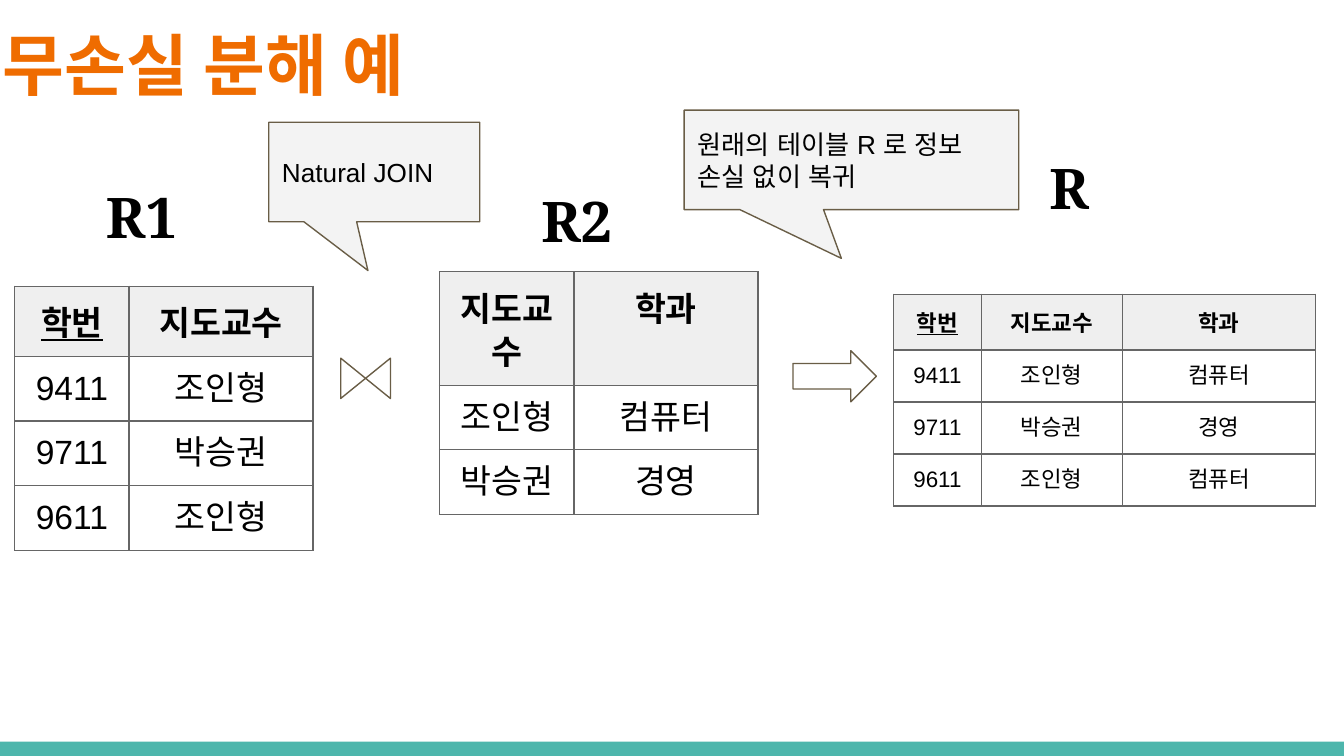
import pptx
import pptx.util
import pptx.dml.color
import pptx.enum.shapes
import pptx.enum.text
import pptx.oxml
import pptx.oxml.ns
from dataclasses import dataclass

Shape = pptx.enum.shapes.MSO_SHAPE
Align = pptx.enum.text.PP_ALIGN
Anchor = pptx.enum.text.MSO_ANCHOR
Fit = pptx.enum.text.MSO_AUTO_SIZE
WIDE = pptx.util.Inches(10)
HIGH = WIDE * 9 // 16
SPACE = pptx.oxml.ns.nsdecls("a")


@dataclass(frozen=True)
class Theme:
    teal: str = "4DB6AC"
    orange: str = "EF6C00"
    ink: str = "000000"
    white: str = "FFFFFF"
    pale: str = "F3F3F3"
    head: str = "EFEFEF"
    rule: str = "666666"
    brown: str = "695D46"
    sans: str = "Arial"
    narrow: str = "Arial Narrow"
    serif: str = "Noto Serif"
    title: int = 36
    label: int = 30
    large: int = 18
    note: int = 14
    small: int = 12
    line: float = 0.75


LOOK = Theme()


def rgb(code):
    return pptx.dml.color.RGBColor.from_string(code)


def across(share):
    return round(WIDE * share / 100)


def down(share):
    return round(HIGH * share / 100)


def place(x, y, w, h):
    return across(x), down(y), across(w), down(h)


def write(frame, text, size=LOOK.note, font=LOOK.sans, color=LOOK.ink, bold=False,
          under=False, align=Align.LEFT, space=1.0):
    para = frame.paragraphs[0]
    para.alignment = align
    para.line_spacing = space
    run = para.add_run()
    run.text = text
    face = run.font
    face.name, face.size = font, pptx.util.Pt(size)
    face.bold, face.underline = bold, under
    face.color.rgb = rgb(color)
    for kind in ("ea", "cs"):
        run._r.get_or_add_rPr().append(pptx.oxml.parse_xml(
            f'<a:{kind} {SPACE} typeface="{font}"/>'))


def setup(item, anchor=Anchor.TOP):
    item.vertical_anchor = anchor
    pad = pptx.util.Inches(0.1)
    item.margin_left = item.margin_right = pad
    item.margin_top = item.margin_bottom = pad


def wrap(frame, anchor=Anchor.TOP):
    frame.word_wrap = True
    frame.auto_size = Fit.NONE
    setup(frame, anchor)


def title(slide, text, box):
    item = slide.shapes.title
    item.left, item.top, item.width, item.height = place(*box)
    wrap(item.text_frame)
    write(item.text_frame, text, size=LOOK.title, font=LOOK.narrow,
          color=LOOK.orange, bold=True)


def label(slide, text, x, y, w):
    item = slide.shapes.add_textbox(*place(x, y, w, 13.16))
    wrap(item.text_frame)
    write(item.text_frame, text, size=LOOK.label, font=LOOK.serif, bold=True)


def shape(slide, kind, box, fill=LOOK.white, line=LOOK.brown, turn=0):
    item = slide.shapes.add_shape(kind, *place(*box))
    item.shadow.inherit = False
    item.rotation = turn
    item.fill.solid()
    item.fill.fore_color.rgb = rgb(fill)
    if line:
        item.line.color.rgb = rgb(line)
        item.line.width = pptx.util.Pt(LOOK.line)
    else:
        item.line.fill.background()
    return item


def callout(slide, text, x, y, w):
    item = shape(slide, Shape.ROUNDED_RECTANGULAR_CALLOUT, (x, y, w, 13.16), LOOK.pale)
    for spot, value in enumerate((-0.03, 0.99, 0)):
        item.adjustments[spot] = value
    wrap(item.text_frame, Anchor.MIDDLE)
    write(item.text_frame, text)


def border(cell):
    props = cell._tc.get_or_add_tcPr()
    width = pptx.util.Pt(LOOK.line)
    for side in ("lnL", "lnR", "lnT", "lnB"):
        props.append(pptx.oxml.parse_xml(
            f'<a:{side} {SPACE} w="{width}"><a:solidFill>'
            f'<a:srgbClr val="{LOOK.rule}"/></a:solidFill></a:{side}>'))


def table(slide, data, x, y, cols, rows, size, key=None):
    box = place(x, y, sum(cols), sum(rows))
    grid = slide.shapes.add_table(len(data), len(cols), *box).table
    grid.first_row = grid.horz_banding = False
    for col, share in zip(grid.columns, cols):
        col.width = across(share)
    for row, share in zip(grid.rows, rows):
        row.height = down(share)
    for r, words in enumerate(data):
        top = r == 0
        for c, text in enumerate(words):
            cell = grid.cell(r, c)
            setup(cell)
            border(cell)
            cell.fill.solid()
            cell.fill.fore_color.rgb = rgb(LOOK.head if top else LOOK.white)
            write(cell.text_frame, text, size=size, bold=top,
                  under=top and text == key, align=Align.CENTER,
                  space=1.15 if top else 1.0)


def main():
    deck = pptx.Presentation()
    deck.slide_width, deck.slide_height = WIDE, HIGH
    slide = deck.slides.add_slide(deck.slide_layouts[5])
    shape(slide, Shape.RECTANGLE, (0, 98.1, 100, 1.9), LOOK.teal, None)
    title(slide, "무손실 분해 예", (-0.8, 1.24, 50, 13.16))

    for text, x, y, w in (("R", 77.1, 18.49, 7.1), ("R1", 6.9, 22.4, 9.1),
                          ("R2", 39.3, 22.93, 9.1)):
        label(slide, text, x, y, w)

    shape(slide, Shape.FLOWCHART_COLLATE, (25.7, 46.76, 3, 6.58), turn=90)
    shape(slide, Shape.RIGHT_ARROW, (59, 46.4, 6.2, 6.76))

    key, guide, field = "학번", "지도교수", "학과"
    full = [(key, guide, field), ("9411", "조인형", "컴퓨터"),
            ("9711", "박승권", "경영"), ("9611", "조인형", "컴퓨터")]
    left = [row[:2] for row in full]
    right = [row[1:] for row in full[:3]]
    table(slide, left, 1.1, 37.87, (8.5, 13.7), [4.27] * 4, LOOK.large, key)
    table(slide, right, 32.7, 35.95, (10, 13.7), [4.27] * 3, LOOK.large)
    table(slide, full, 66.5, 38.93, (6.5, 10.5, 14.4), [5.69] + [5.33] * 3,
          LOOK.small, key)

    callout(slide, "원래의 테이블 R 로 정보 손실 없이 복귀", 50.9, 14.58, 24.9)
    callout(slide, "Natural JOIN", 20, 16.18, 15.7)
    deck.save("out.pptx")


main()
